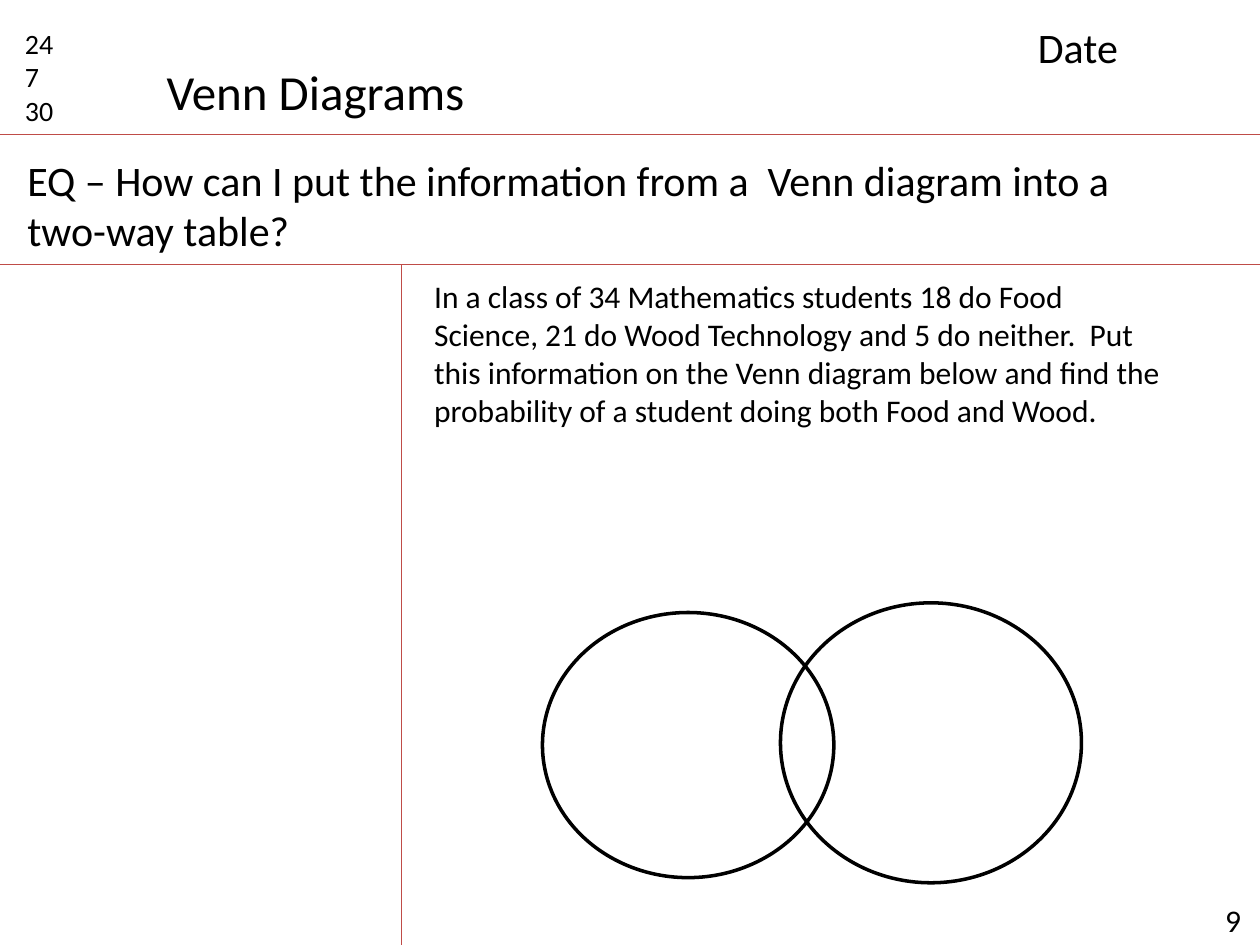
import pptx
import pptx.util
import pptx.dml.color
import pptx.enum.shapes
import pptx.enum.text
import lxml.etree

Pt = pptx.util.Pt
RGB = pptx.dml.color.RGBColor.from_string
HUES = {"ink": "000000", "rule": "BF4C48"}

deck = pptx.Presentation()
deck.slide_width, deck.slide_height = Pt(720), Pt(540)
slide = deck.slides.add_slide(deck.slide_layouts[5])


def write(text, at, size, wrap=True, shape=None):
    """Put text in a new box, or in the given shape."""
    left, top, width, height = map(Pt, at)
    if shape is None:
        shape = slide.shapes.add_textbox(left, top, width, height)
    shape.left, shape.top, shape.width, shape.height = left, top, width, height
    frame = shape.text_frame
    frame.text = text
    frame.word_wrap = wrap
    frame.auto_size = pptx.enum.text.MSO_AUTO_SIZE.NONE
    frame.vertical_anchor = pptx.enum.text.MSO_ANCHOR.TOP
    for para in frame.paragraphs:
        para.alignment = pptx.enum.text.PP_ALIGN.LEFT
        para.font.name = "Calibri"
        para.font.size = Pt(size)
        para.font.color.rgb = RGB(HUES["ink"])


# Rules between header, question, notes and work area
for ends in [(0, 77, 720, 77), (0, 151, 720, 151), (229.5, 151, 229.5, 540)]:
    rule = slide.shapes.add_connector(
        pptx.enum.shapes.MSO_CONNECTOR.STRAIGHT, *map(Pt, ends))
    rule.line.color.rgb = RGB(HUES["rule"])
    rule.line.width = Pt(0.75)
    lxml.etree.SubElement(
        rule.element.spPr, pptx.oxml.ns.qn("a:effectLst"))

# Header
write("Venn Diagrams", (88, 31.7, 186.5, 41), 28, wrap=False,
      shape=slide.shapes.title)
write("24\n7\n30", (7.2, 11.5, 45.4, 65.5), 16)
write("Date", (586, 8.6, 124.6, 36), 24)

# Question and task
write("EQ – How can I put the information from a  Venn diagram into a "
      "two-way table?", (8.6, 84.5, 679, 65.5), 24)
write("In a class of 34 Mathematics students 18 do Food Science, 21 do Wood "
      "Technology and 5 do neither.  Put this information on the Venn diagram "
      "below and find the probability of a student doing both Food and Wood.",
      (241, 155, 433.4, 94.3), 18)

# Venn diagram
venn = slide.shapes.add_group_shape()
for at in [(310, 350, 166.5, 151.5), (446, 344.5, 172, 160)]:
    ring = venn.shapes.add_shape(
        pptx.enum.shapes.MSO_SHAPE.OVAL, *map(Pt, at))
    ring.shadow.inherit = False
    ring.fill.background()
    ring.line.color.rgb = RGB(HUES["ink"])
    ring.line.width = Pt(2)

# Page number
write("9", (693, 511.2, 43, 29), 18)

deck.save("out.pptx")
